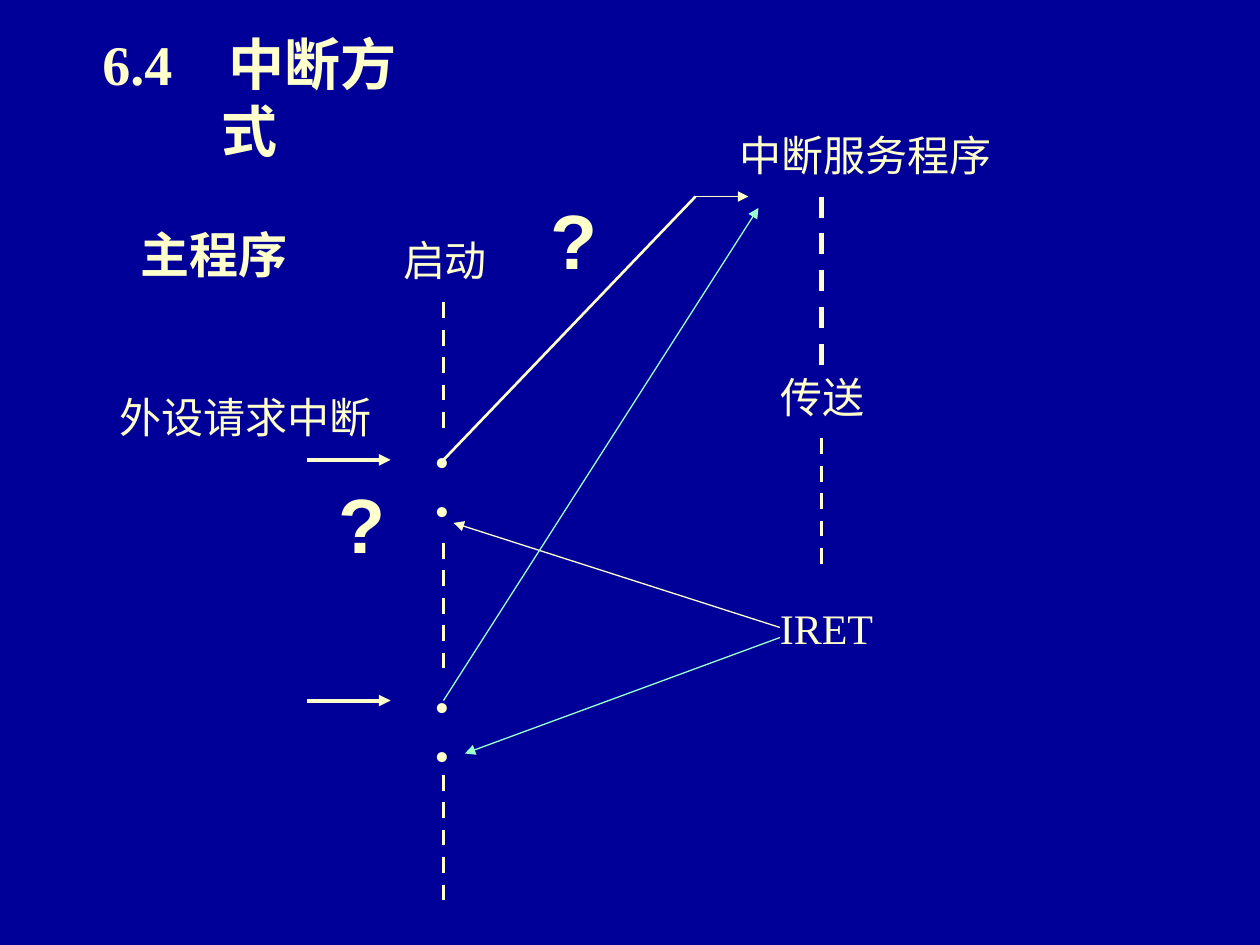
from lxml.etree import SubElement
from pptx import Presentation
from pptx.dml.color import RGBColor
from pptx.enum.dml import MSO_LINE
from pptx.enum.shapes import MSO_CONNECTOR
from pptx.enum.text import MSO_ANCHOR, MSO_AUTO_SIZE, PP_ALIGN
from pptx.oxml.ns import qn
from pptx.util import Inches, Pt

COLORS = {"background": "000099", "cream": "FFFFCC", "mint": "99FFCC"}
SERIF, SANS = "Times New Roman", "Arial"


def style(paragraph, size, bold=False, font=SERIF, indent=0):
    """Set the font of a paragraph and its left indent in inches."""
    if indent:
        paragraph._p.get_or_add_pPr().set("marL", str(Inches(indent)))
    paragraph.font.name = font
    paragraph.font.size = Pt(size)
    paragraph.font.bold = bold
    paragraph.font.color.rgb = RGBColor.from_string(COLORS["cream"])


def draw_line(start, end, width, color="cream", dashed=False, arrow=False):
    """Draw a straight line between two points given in inches."""
    line = slide.shapes.add_connector(
        MSO_CONNECTOR.STRAIGHT, *(Inches(v) for v in (*start, *end)))
    line.line.color.rgb = RGBColor.from_string(COLORS[color])
    line.line.width = Pt(width)
    if dashed:
        line.line.dash_style = MSO_LINE.DASH
    if arrow:
        SubElement(line.line._get_or_add_ln(), qn("a:tailEnd"), type="triangle")
    SubElement(line._element.spPr, qn("a:effectLst"))


presentation = Presentation()
presentation.slide_width, presentation.slide_height = Inches(10), Inches(7.5)
slide = presentation.slides.add_slide(presentation.slide_layouts[5])
slide.background.fill.solid()
slide.background.fill.fore_color.rgb = RGBColor.from_string(COLORS["background"])

# Title
title = slide.shapes.title
title.left, title.top = Inches(0.52), Inches(0.35)
title.width, title.height = Inches(2.92), Inches(0.83)
heading = title.text_frame
heading.text = "6.4　中断方式"
heading.word_wrap = True
heading.auto_size = MSO_AUTO_SIZE.NONE
heading.vertical_anchor = MSO_ANCHOR.MIDDLE
heading.paragraphs[0].alignment = PP_ALIGN.CENTER
style(heading.paragraphs[0], 32, bold=True)

# Labels: text, left, top, width, height, size, bold, font, indent, alignment
LEFT, CENTER = PP_ALIGN.LEFT, PP_ALIGN.CENTER
labels = [
    ("主程序", 1.02, 1.73, 1.67, 0.57, 28, True, SERIF, 0, LEFT),
    ("启动", 3.1, 1.81, 1.25, 4.44, 24, False, SERIF, 0, LEFT),
    ("中断服务程序", 5.77, 0.98, 2.28, 0.5, 24, False, SERIF, 0, LEFT),
    ("传送", 5.77, 2.9, 2, 0.5, 24, False, SERIF, 0.33, LEFT),
    ("IRET", 5.6, 4.73, 1.92, 0.5, 24, False, SERIF, 0, CENTER),
    ("外设请求中断", 0.85, 3.06, 2.5, 0.5, 24, False, SERIF, 0, LEFT),
    ("?", 2.44, 3.73, 1, 0.84, 44, True, SANS, 0.15, LEFT),
    ("?", 4.27, 1.48, 0.5, 0.84, 44, True, SANS, 0, LEFT),
]
frames = {}
for text, left, top, width, height, size, bold, font, indent, alignment in labels:
    frame = slide.shapes.add_textbox(
        Inches(left), Inches(top), Inches(width), Inches(height)).text_frame
    frame.word_wrap = True
    frame.auto_size = MSO_AUTO_SIZE.SHAPE_TO_FIT_TEXT
    frame.text = text
    frame.paragraphs[0].alignment = alignment
    style(frame.paragraphs[0], size, bold, font, indent)
    frames[text] = frame

# Interrupt and return points of the main program, in two pairs
for space_before in (100, 15, 99, 15):
    point = frames["启动"].add_paragraph()
    point.text = "•"
    point.line_spacing = 0.45
    point.space_before = Pt(space_before)
    style(point, 24, indent=0.25)

# Program flow: main program on the left, service routine on the right
main_x, service_x = 3.52, 6.52
for top in (2.4, 4.31, 6.15):
    draw_line((main_x, top), (main_x, top + 1), 2.25, dashed=True)
draw_line((service_x, 1.56), (service_x, 2.9), 3, dashed=True)
draw_line((service_x, 3.48), (service_x, 4.48), 2.25, dashed=True)

# Interrupt requests from the device
for request_y in (3.65, 5.56):
    draw_line((2.44, request_y), (3.1, request_y), 2.25, arrow=True)

# First interrupt: jump to the service routine and return
draw_line((main_x, 3.65), (5.52, 1.56), 1.5)
draw_line((5.52, 1.56), (5.94, 1.56), 0.75, arrow=True)
draw_line((6.19, 4.98), (3.6, 4.15), 0.75, arrow=True)

# Second interrupt: jump to the service routine and return
draw_line((main_x, 5.56), (6.02, 1.65), 0.75, "mint", arrow=True)
draw_line((6.19, 5.06), (3.69, 5.98), 0.75, "mint", arrow=True)

presentation.save("out.pptx")
